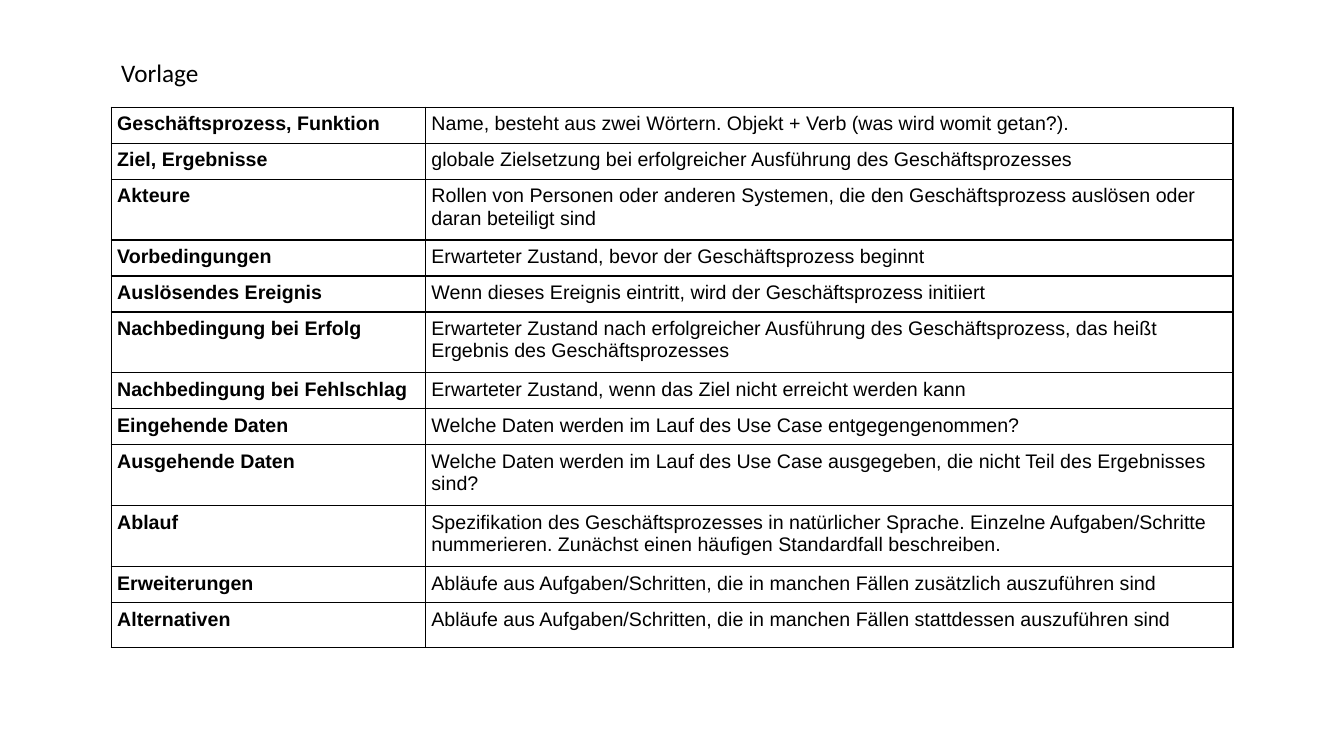
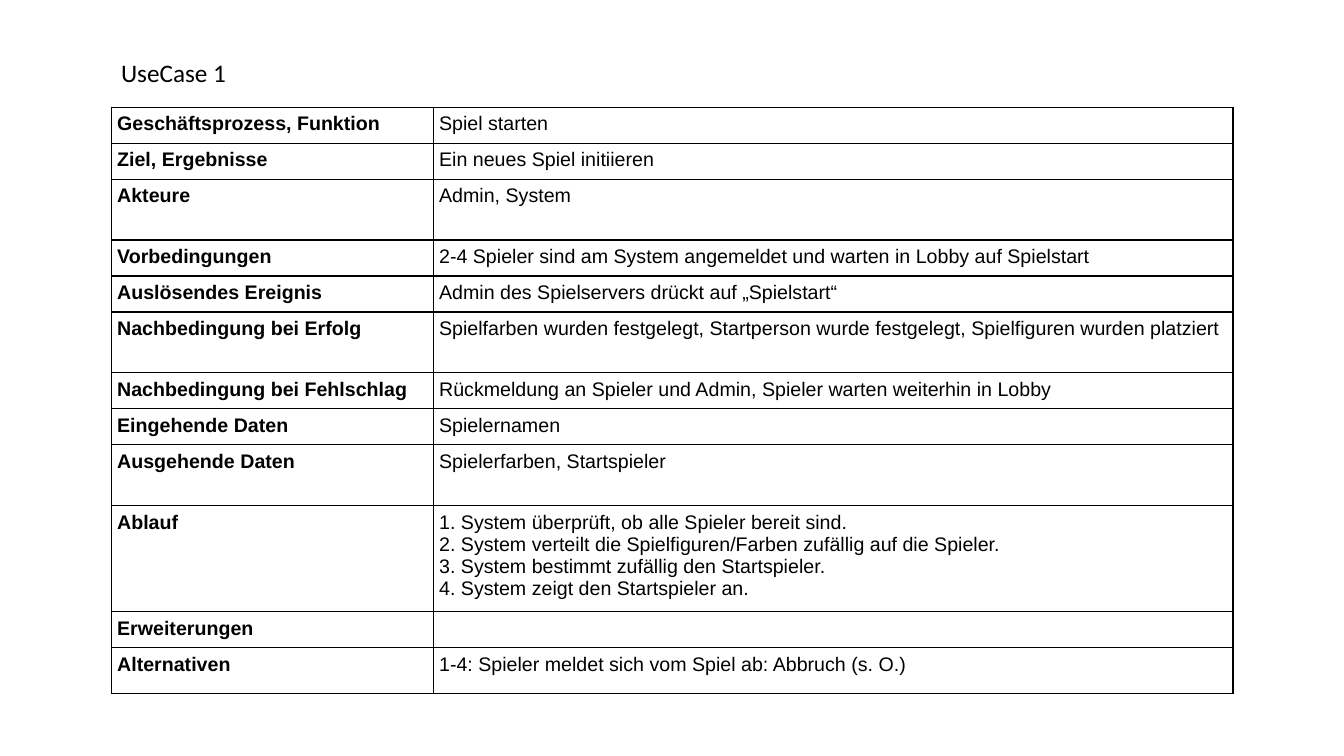
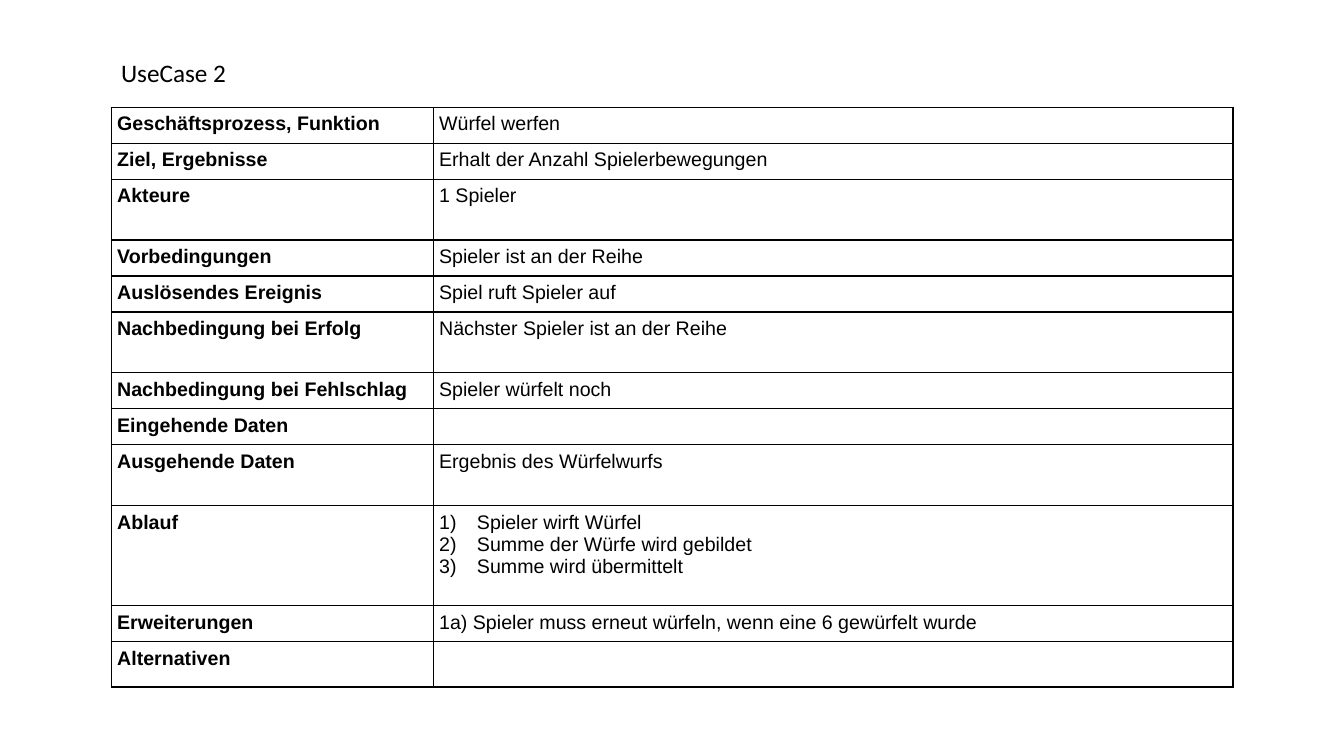
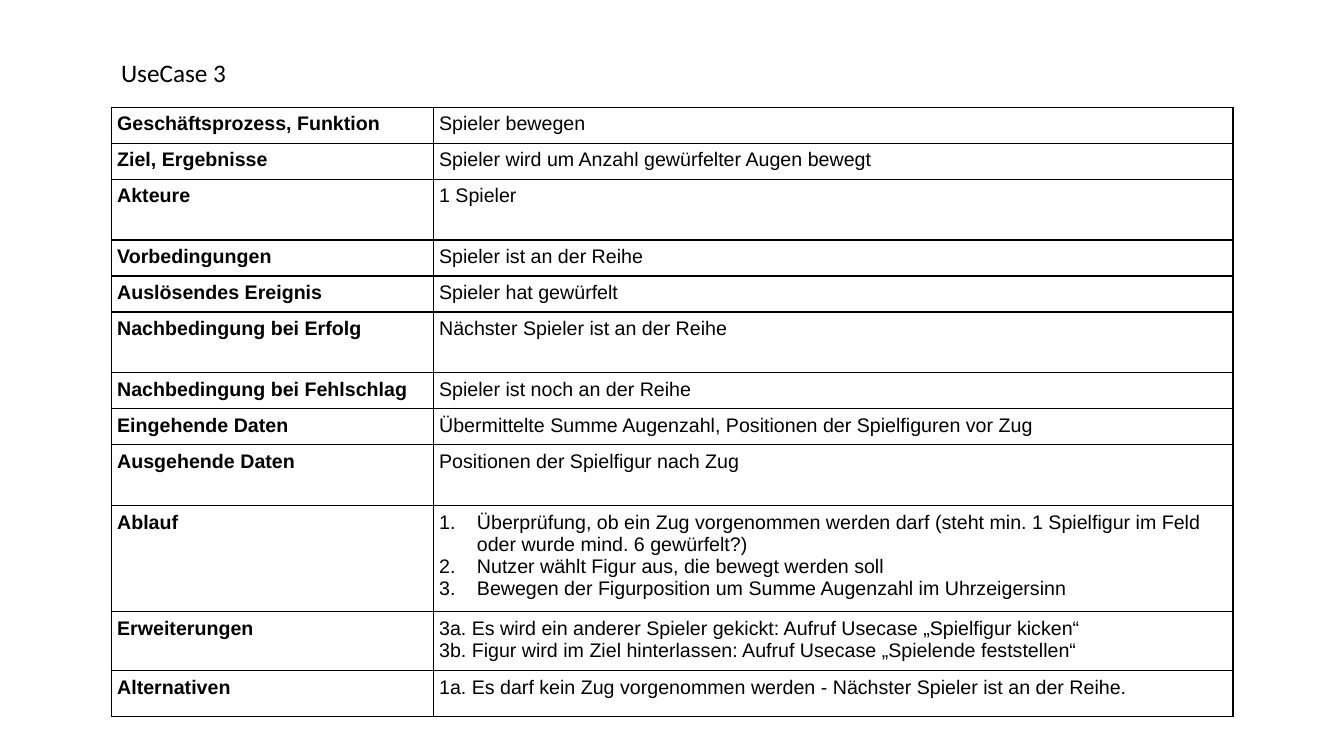
import lxml.etree
import pptx
import pptx.dml.color
import pptx.enum.text
import pptx.oxml.ns
import pptx.util

Pt = pptx.util.Pt
qn = pptx.oxml.ns.qn

# Row labels and their usual heights
SINGLE, DOUBLE, LAST = 25.75, 43.4, 32.4
ROWS = {
    "Geschäftsprozess, Funktion": SINGLE,
    "Ziel, Ergebnisse": SINGLE,
    "Akteure": DOUBLE,
    "Vorbedingungen": SINGLE,
    "Auslösendes Ereignis": SINGLE,
    "Nachbedingung bei Erfolg": DOUBLE,
    "Nachbedingung bei Fehlschlag": SINGLE,
    "Eingehende Daten": SINGLE,
    "Ausgehende Daten": DOUBLE,
    "Ablauf": DOUBLE,
    "Erweiterungen": SINGLE,
    "Alternativen": LAST,
}
STEPS = 71.4  # height of a flow with up to four lines

# Slides: title, label width, changed row heights, numbering of the flow, texts
SLIDES = [
    ("Vorlage", 224.5, {}, None, [
        "Name, besteht aus zwei Wörtern. Objekt + Verb (was wird womit getan?).",
        "globale Zielsetzung bei erfolgreicher Ausführung des Geschäftsprozesses",
        "Rollen von Personen oder anderen Systemen, die den Geschäftsprozess auslösen oder daran beteiligt sind",
        "Erwarteter Zustand, bevor der Geschäftsprozess beginnt",
        "Wenn dieses Ereignis eintritt, wird der Geschäftsprozess initiiert",
        "Erwarteter Zustand nach erfolgreicher Ausführung des Geschäftsprozess, das heißt Ergebnis des Geschäftsprozesses",
        "Erwarteter Zustand, wenn das Ziel nicht erreicht werden kann",
        "Welche Daten werden im Lauf des Use Case entgegengenommen?",
        "Welche Daten werden im Lauf des Use Case ausgegeben, die nicht Teil des Ergebnisses sind?",
        "Spezifikation des Geschäftsprozesses in natürlicher Sprache. Einzelne Aufgaben/Schritte "
        "nummerieren. Zunächst einen häufigen Standardfall beschreiben.",
        "Abläufe aus Aufgaben/Schritten, die in manchen Fällen zusätzlich auszuführen sind",
        "Abläufe aus Aufgaben/Schritten, die in manchen Fällen stattdessen auszuführen sind",
    ]),
    ("UseCase 1", 230, {"Ablauf": STEPS}, None, [
        "Spiel starten",
        "Ein neues Spiel initiieren",
        "Admin, System",
        "2-4 Spieler sind am System angemeldet und warten in Lobby auf Spielstart",
        "Admin des Spielservers drückt auf „Spielstart“",
        "Spielfarben wurden festgelegt, Startperson wurde festgelegt, Spielfiguren wurden platziert",
        "Rückmeldung an Spieler und Admin, Spieler warten weiterhin in Lobby",
        "Spielernamen",
        "Spielerfarben, Startspieler",
        "1. System überprüft, ob alle Spieler bereit sind.\n"
        "2. System verteilt die Spielfiguren/Farben zufällig auf die Spieler.\n"
        "3. System bestimmt zufällig den Startspieler.\n"
        "4. System zeigt den Startspieler an.",
        "",
        "1-4: Spieler meldet sich vom Spiel ab: Abbruch (s. O.)",
    ]),
    ("UseCase 2", 230, {"Ablauf": STEPS}, "arabicParenR", [
        "Würfel werfen",
        "Erhalt der Anzahl Spielerbewegungen",
        "1 Spieler",
        "Spieler ist an der Reihe",
        "Spiel ruft Spieler auf",
        "Nächster Spieler ist an der Reihe",
        "Spieler würfelt noch",
        "",
        "Ergebnis des Würfelwurfs",
        "Spieler wirft Würfel\nSumme der Würfe wird gebildet\nSumme wird übermittelt",
        "1a) Spieler muss erneut würfeln, wenn eine 6 gewürfelt wurde",
        "",
    ]),
    ("UseCase 3", 230, {"Ablauf": STEPS, "Erweiterungen": 40}, "arabicPeriod", [
        "Spieler bewegen",
        "Spieler wird um Anzahl gewürfelter Augen bewegt",
        "1 Spieler",
        "Spieler ist an der Reihe",
        "Spieler hat gewürfelt",
        "Nächster Spieler ist an der Reihe",
        "Spieler ist noch an der Reihe",
        "Übermittelte Summe Augenzahl, Positionen der Spielfiguren vor Zug",
        "Positionen der Spielfigur nach Zug",
        "Überprüfung, ob ein Zug vorgenommen werden darf (steht min. 1 Spielfigur im Feld "
        "oder wurde mind. 6 gewürfelt?)\n"
        "Nutzer wählt Figur aus, die bewegt werden soll\n"
        "Bewegen der Figurposition um Summe Augenzahl im Uhrzeigersinn",
        "3a. Es wird ein anderer Spieler gekickt: Aufruf Usecase „Spielfigur kicken“\n"
        "3b. Figur wird im Ziel hinterlassen: Aufruf Usecase „Spielende feststellen“",
        "1a. Es darf kein Zug vorgenommen werden - Nächster Spieler ist an der Reihe.",
    ]),
]


def rgb(color):
    return pptx.dml.color.RGBColor.from_string(color)


class Deck:
    INK = "000000"
    LEFT, WIDTH = 79.4, 801.4
    TITLE_TOP, TABLE_TOP = 37.2, 76.5
    INSET, INDENT, BORDER = 4.3, 27, 0.96
    TITLE_FONT, TITLE_SIZE = "Calibri", 18
    BODY_FONT, BODY_SIZE = "Arial", 14

    def __init__(self):
        self.prs = pptx.Presentation()
        self.prs.slide_width, self.prs.slide_height = Pt(960), Pt(540)
        self.s = None

    def slide(self):
        self.s = self.prs.slides.add_slide(self.prs.slide_layouts[6])

    def style(self, p, font, size, bold=False):
        for r in p.runs:
            r.font.name, r.font.size, r.font.bold = font, Pt(size), bold
            r.font.color.rgb = rgb(self.INK)

    def title(self, text):
        width = 70.6 if len(text) < 8 else 90
        sp = self.s.shapes.add_textbox(Pt(self.LEFT), Pt(self.TITLE_TOP), Pt(width), Pt(29))
        tf = sp.text_frame
        tf.word_wrap = False
        tf.auto_size = pptx.enum.text.MSO_AUTO_SIZE.SHAPE_TO_FIT_TEXT
        tf.text = text
        self.style(tf.paragraphs[0], self.TITLE_FONT, self.TITLE_SIZE)

    def borders(self, cell):
        tcPr = cell._tc.get_or_add_tcPr()
        for i, side in enumerate(("lnL", "lnR", "lnT", "lnB")):
            ln = lxml.etree.Element(qn("a:" + side), w=str(Pt(self.BORDER)))
            fill = lxml.etree.SubElement(ln, qn("a:solidFill"))
            lxml.etree.SubElement(fill, qn("a:srgbClr"), val=self.INK)
            tcPr.insert(i, ln)

    def number(self, p, scheme):
        pPr = p._p.get_or_add_pPr()
        pPr.set("marL", str(Pt(self.INDENT)))
        pPr.set("indent", str(-Pt(self.INDENT)))
        lxml.etree.SubElement(pPr, qn("a:buFont"), typeface=self.BODY_FONT)
        lxml.etree.SubElement(pPr, qn("a:buAutoNum"), type=scheme)

    def cell(self, cell, text, bold=False, scheme=None):
        cell.margin_left = cell.margin_right = Pt(self.INSET)
        cell.margin_top = cell.margin_bottom = Pt(self.INSET)
        cell.fill.background()
        self.borders(cell)
        cell.text_frame.text = text
        for p in cell.text_frame.paragraphs:
            self.style(p, self.BODY_FONT, self.BODY_SIZE, bold)
            if scheme:
                self.number(p, scheme)
            if not text:  # keeps an empty row from growing
                lxml.etree.SubElement(p._p, qn("a:endParaRPr"), sz=str(self.BODY_SIZE * 100))

    def table(self, label_width, heights, scheme, texts):
        frame = self.s.shapes.add_table(len(heights), 2, Pt(self.LEFT), Pt(self.TABLE_TOP),
                                        Pt(self.WIDTH), Pt(sum(heights.values())))
        table = frame.table
        table.first_row = table.horz_banding = False
        table.columns[0].width = Pt(label_width)
        table.columns[1].width = Pt(self.WIDTH - label_width)
        for i, (label, height) in enumerate(heights.items()):
            table.rows[i].height = Pt(height)
            self.cell(table.cell(i, 0), label, bold=True)
            self.cell(table.cell(i, 1), texts[i], scheme=scheme if label == "Ablauf" else None)


def main():
    deck = Deck()
    for title, label_width, changed, scheme, texts in SLIDES:
        deck.slide()
        deck.table(label_width, {**ROWS, **changed}, scheme, texts)
        deck.title(title)
    deck.prs.save("out.pptx")


if __name__ == "__main__":
    main()
